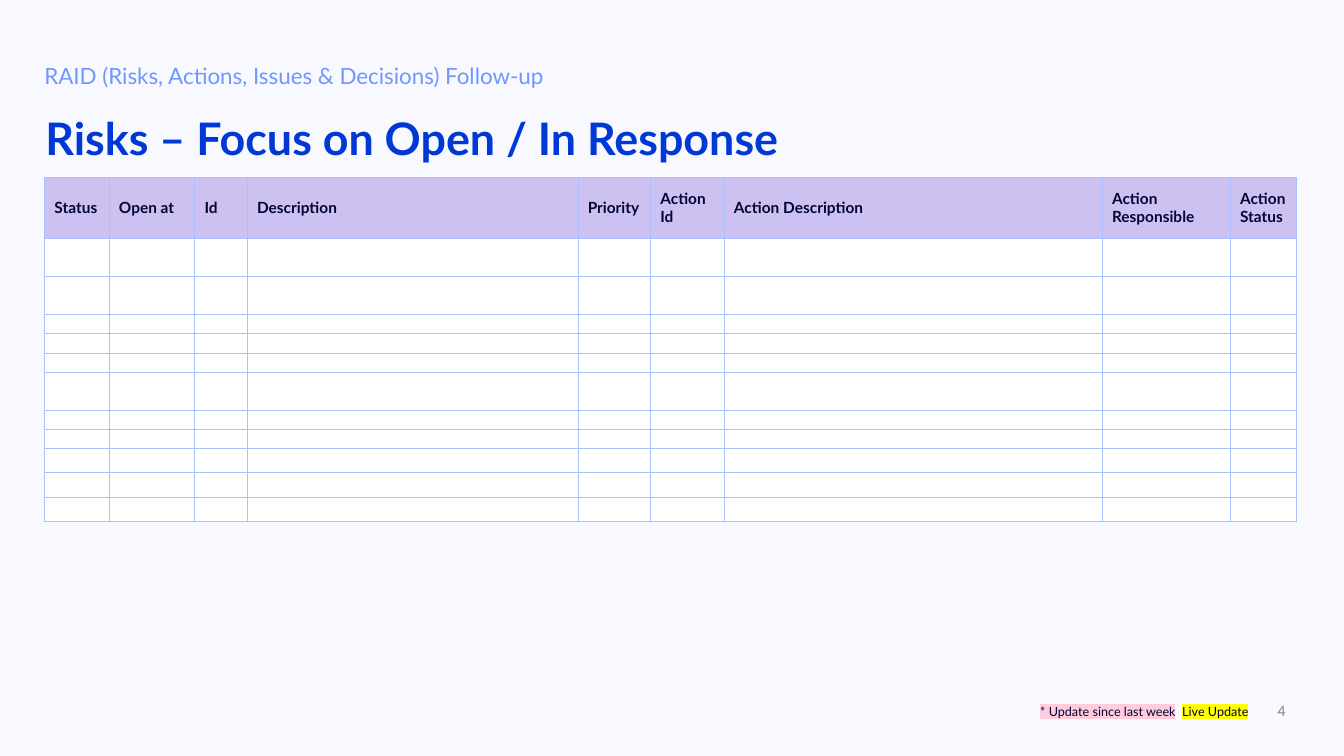
import pptx
import pptx.dml.color
import pptx.enum.text
import pptx.oxml.ns
import pptx.util
from lxml import etree

Inches, Pt = pptx.util.Inches, pptx.util.Pt
RGBColor = pptx.dml.color.RGBColor
PP_ALIGN, MSO_ANCHOR = pptx.enum.text.PP_ALIGN, pptx.enum.text.MSO_ANCHOR
qn = pptx.oxml.ns.qn

FONT = "Lato"
PALE = RGBColor(0xF7, 0xF9, 0xFF)
BLUE = RGBColor(0x00, 0x38, 0xD5)
LIGHT_BLUE = RGBColor(0x71, 0x97, 0xFF)
NAVY = RGBColor(0x03, 0x04, 0x36)
GRAY = RGBColor(0x80, 0x80, 0x80)
LILAC = RGBColor(0xCD, 0xC1, 0xF2)
WHITE = RGBColor(0xFF, 0xFF, 0xFF)
GRID = RGBColor(0xAA, 0xC1, 0xFF)
PINK = RGBColor(0xFF, 0xCC, 0xDC)
YELLOW = RGBColor(0xFF, 0xFF, 0x00)

TOPIC = "RAID (Risks, Actions, Issues & Decisions) Follow-up"
TITLE = "Risks – Focus on Open / In Response"
PAGE = "4"
LEGEND = [("* Update since last week", PINK), (" ", None), ("Live Update", YELLOW)]
COLUMNS = [
    ("Status", 0.64), ("Open at", 0.85), ("Id", 0.52),
    ("Description", 3.28), ("Priority", 0.72), ("Action Id", 0.73),
    ("Action Description", 3.75), ("Action Responsible", 1.27),
    ("Action Status", 0.66),
]
HEADER_HEIGHT = 0.6
SINGLE, MEDIUM, DOUBLE = 0.19, 0.24, 0.38
RISK_ROWS = [DOUBLE] * 2 + [SINGLE] * 3 + [DOUBLE] + [SINGLE] * 2 + [MEDIUM] * 3
LEFT, WIDTH, TABLE_TOP = 0.44, 12.4, 1.76


def style(paragraph, size, color, bold=False):
    paragraph.font.name = FONT
    paragraph.font.size = Pt(size)
    paragraph.font.bold = bold
    paragraph.font.color.rgb = color


def add_text(slide, box, text, size, color, bold=False, align=PP_ALIGN.LEFT,
             anchor=MSO_ANCHOR.TOP, inset=0.1):
    frame = slide.shapes.add_textbox(*map(Inches, box)).text_frame
    frame.word_wrap = True
    frame.margin_left = Inches(inset)
    frame.vertical_anchor = anchor
    paragraph = frame.paragraphs[0]
    paragraph.text = text
    paragraph.alignment = align
    style(paragraph, size, color, bold)
    return paragraph


def add_color(parent, tag, color):
    holder = etree.SubElement(parent, qn(tag))
    etree.SubElement(holder, qn("a:srgbClr"), val=str(color))


def add_borders(cell):
    """Put thin grid lines on all four sides, ahead of the cell's fill."""
    properties = cell._tc.get_or_add_tcPr()
    for position, side in enumerate(("a:lnL", "a:lnR", "a:lnT", "a:lnB")):
        line = etree.Element(qn(side), w=str(Pt(0.25)))
        add_color(line, "a:solidFill", GRID)
        properties.insert(position, line)


def add_risk_table(slide):
    heights = [HEADER_HEIGHT] + RISK_ROWS
    frame = slide.shapes.add_table(
        len(heights), len(COLUMNS), Inches(LEFT), Inches(TABLE_TOP),
        Inches(WIDTH), Inches(sum(heights)))
    table = frame.table
    for column, (_, width) in zip(table.columns, COLUMNS):
        column.width = Inches(width)
    for row, height in zip(table.rows, heights):
        row.height = Inches(height)
        for cell in row.cells:
            cell.fill.solid()
            cell.fill.fore_color.rgb = WHITE
            cell.vertical_anchor = MSO_ANCHOR.MIDDLE
            cell.margin_top = cell.margin_bottom = 0
            add_borders(cell)
            # Small end marks keep the blank rows at their set height.
            etree.SubElement(cell.text_frame.paragraphs[0]._p,
                             qn("a:endParaRPr"), sz="600")
    for cell, (heading, _) in zip(table.rows[0].cells, COLUMNS):
        cell.fill.fore_color.rgb = LILAC
        paragraph = cell.text_frame.paragraphs[0]
        paragraph.text = heading
        style(paragraph, 11, NAVY, True)


def add_legend(slide):
    paragraph = add_text(slide, (10.02, 6.78, 2.66, 0.55), "", 9, NAVY,
                         align=PP_ALIGN.CENTER, anchor=MSO_ANCHOR.MIDDLE)
    for label, highlight in LEGEND:
        run = paragraph.add_run()
        run.text = label
        properties = run._r.get_or_add_rPr()
        if highlight is None:
            properties.set("spc", "250")
        else:
            add_color(properties, "a:highlight", highlight)


def main():
    deck = pptx.Presentation()
    deck.slide_width, deck.slide_height = Inches(13.33), Inches(7.5)
    slide = deck.slides.add_slide(deck.slide_layouts[6])
    slide.background.fill.solid()
    slide.background.fill.fore_color.rgb = PALE

    add_text(slide, (LEFT + 0.01, 1.05, WIDTH, 0.65), TITLE, 32, BLUE, True, inset=0)
    add_text(slide, (9.85, 6.92, 3, 0.27), PAGE, 10, GRAY,
             align=PP_ALIGN.RIGHT, anchor=MSO_ANCHOR.MIDDLE)
    topic = add_text(slide, (LEFT, 0.51, WIDTH, 0.43), TOPIC, 16, LIGHT_BLUE, inset=0)
    topic.line_spacing = 1.2
    topic.space_before, topic.space_after = Pt(10), Pt(6)
    add_risk_table(slide)
    add_legend(slide)
    deck.save("out.pptx")


if __name__ == "__main__":
    main()
